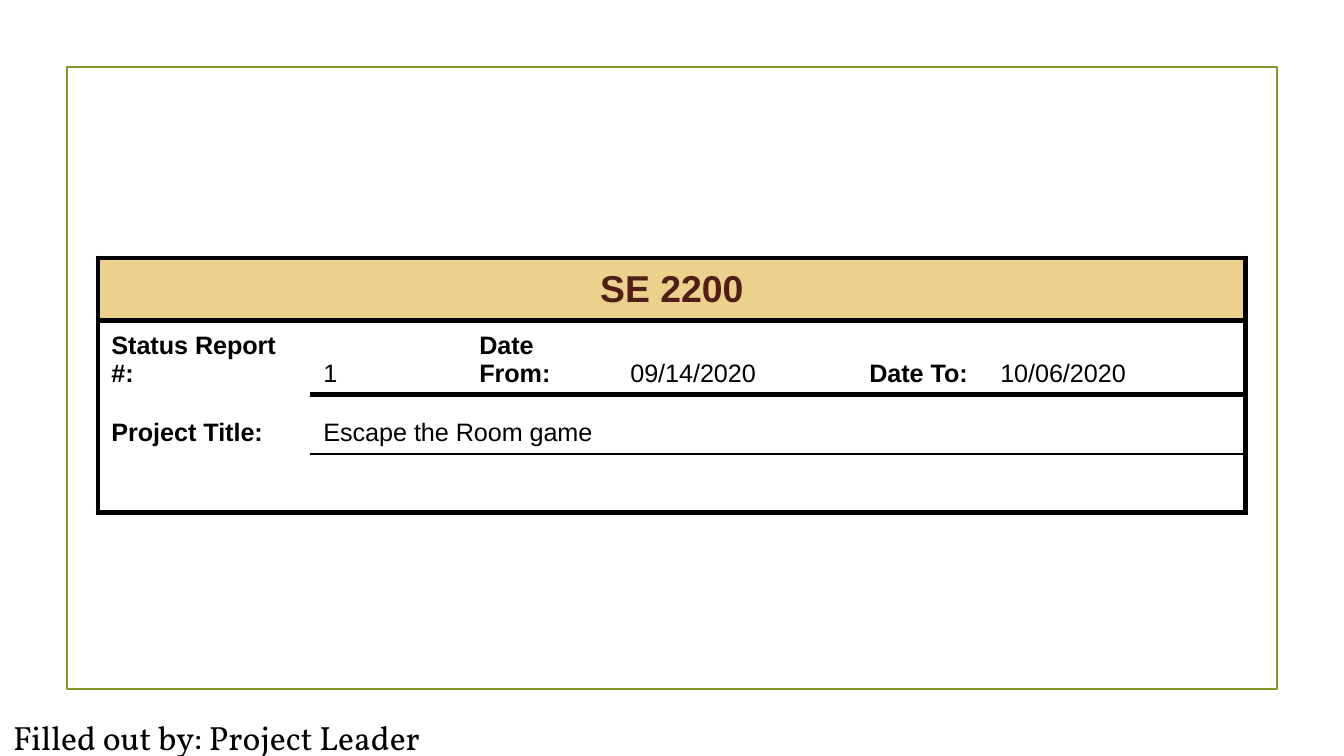
from lxml.etree import SubElement
from pptx import Presentation
from pptx.dml.color import RGBColor
from pptx.enum.shapes import MSO_SHAPE
from pptx.enum.text import MSO_ANCHOR, PP_ALIGN
from pptx.oxml.ns import qn
from pptx.util import Emu, Pt

COLORS = {"frame": "83992A", "header": "EBD18B", "heading": "511D19", "ink": "000000"}


def px(*lengths):
    return [Emu(round(length * 914400 / 134.4)) for length in lengths]


def style(paragraph, size, font, color, bold=False):
    for run in paragraph.runs:
        run.font.size, run.font.name, run.font.bold = Pt(size), font, bold
        run.font.color.rgb = RGBColor.from_string(COLORS[color])


deck = Presentation()
deck.slide_width, deck.slide_height = px(1344, 756)
slide = deck.slides.add_slide(deck.slide_layouts[6])

# Page frame
frame = slide.shapes.add_shape(MSO_SHAPE.RECTANGLE, *px(67, 67, 1210, 622))
frame.shadow.inherit = False
frame.fill.background()
frame.line.color.rgb = RGBColor.from_string(COLORS["frame"])
frame.line.width = Pt(1.25)

# Author line
author = slide.shapes.add_textbox(*px(0, 710, 581, 46)).text_frame
author.word_wrap = True
author.text = "Filled out by: Project Leader"
style(author.paragraphs[0], 18, "Vollkorn", "ink")

# Status report table
report_rows = [
    ["SE 2200"],
    ["Status Report #:", "1", "Date From:", "09/14/2020", "Date To:", "10/06/2020"],
    ["Project Title:", "Escape the Room game"],
    [],
]
column_widths = [212, 156, 151, 239, 131, 259]
row_heights = [63, 59, 59, 59]
last_column = len(column_widths) - 1

report_frame = slide.shapes.add_table(
    len(row_heights), len(column_widths),
    *px(98, 258, sum(column_widths), sum(row_heights)))
report = report_frame.table
report.first_row = report.horz_banding = False
# Table style without grid
report._tbl.tblPr.find(qn("a:tableStyleId")).text = "{2D5ABB26-0587-4C30-8999-92F81FD0307C}"
for column, width in zip(report.columns, px(*column_widths)):
    column.width = width
for row, height in zip(report.rows, px(*row_heights)):
    row.height = height

for row, first_column in [(0, 0), (2, 1), (3, 1)]:
    report.cell(row, first_column).merge(report.cell(row, last_column))

# Cell text
for row, texts in enumerate(report_rows):
    for column, text in enumerate(texts):
        cell = report.cell(row, column)
        cell.text = text
        entry = cell.text_frame.paragraphs[0]
        if row == 0:
            cell.vertical_anchor = MSO_ANCHOR.MIDDLE
            entry.alignment = PP_ALIGN.CENTER
            style(entry, 20, "Arial", "heading", True)
        else:
            cell.vertical_anchor = MSO_ANCHOR.BOTTOM
            style(entry, 13.5, "Arial", "ink", column % 2 == 0)

# Rules in points, from the top edge down: label column, then value columns
label_rules = [3, 3, 0, 0, 3]
value_rules = [3, 3, 3, 1, 3]
for row in range(len(row_heights)):
    for column in range(len(column_widths)):
        cell = report.cell(row, column)
        rules = value_rules if column else label_rules
        reaches_right = column + cell.span_width > last_column
        borders = {
            "a:lnL": 0 if column else 3,
            "a:lnR": 3 if reaches_right else 0,
            "a:lnT": rules[row],
            "a:lnB": rules[row + 1],
        }
        properties = cell._tc.get_or_add_tcPr()
        for edge, points in borders.items():
            line = SubElement(properties, qn(edge), w=str(Pt(points)))
            if points:
                paint = SubElement(line, qn("a:solidFill"))
                SubElement(paint, qn("a:srgbClr"), val=COLORS["ink"])
            else:
                SubElement(line, qn("a:noFill"))
        if row == 0:
            cell.fill.solid()
            cell.fill.fore_color.rgb = RGBColor.from_string(COLORS["header"])
        else:
            cell.fill.background()

deck.save("out.pptx")
